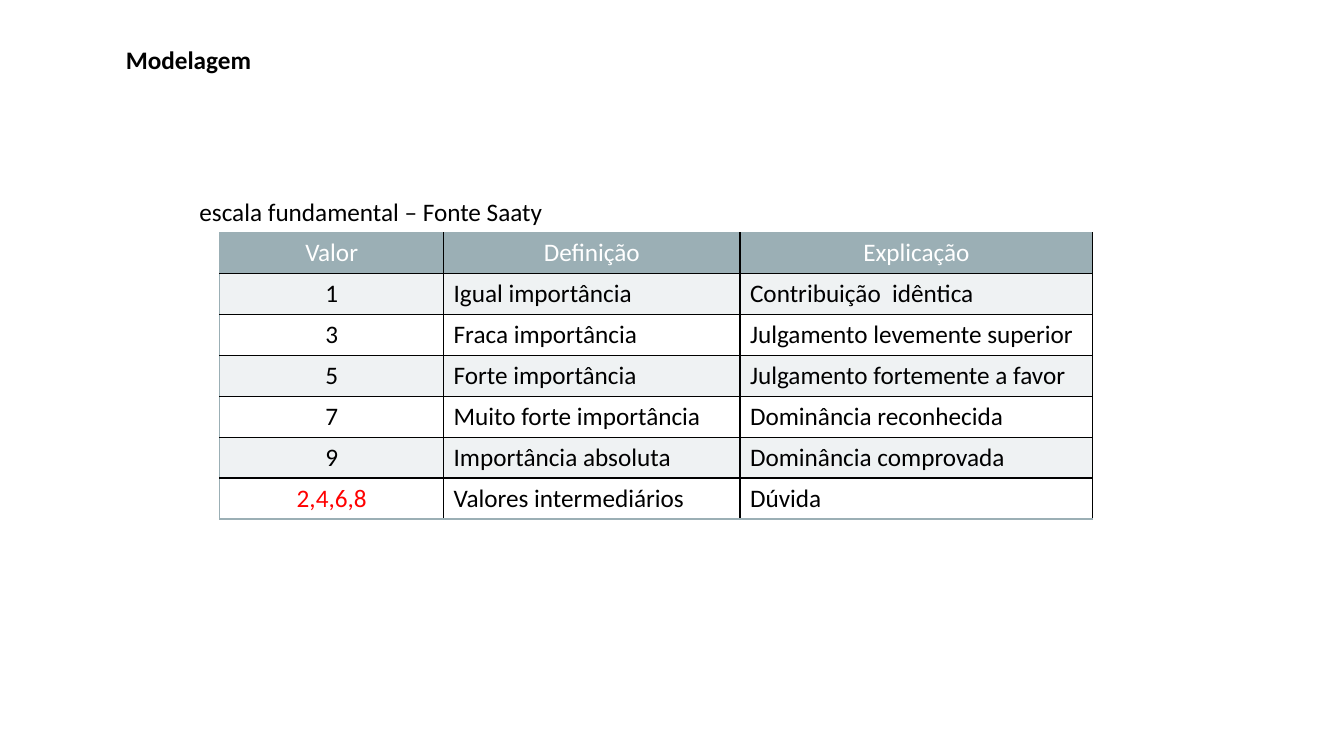
from lxml import etree
from pptx import Presentation
from pptx.dml.color import RGBColor
from pptx.enum import text
from pptx.oxml import ns
from pptx.util import Inches, Pt

COLORS = {"black": "000000", "white": "FFFFFF", "slate": "9BAFB5",
          "band": "EFF2F3", "red": "FF0000"}
SCALE = [
    ("Valor", "Definição", "Explicação"),
    ("1", "Igual importância", "Contribuição  idêntica"),
    ("3", "Fraca importância", "Julgamento levemente superior"),
    ("5", "Forte importância", "Julgamento fortemente a favor"),
    ("7", "Muito forte importância", "Dominância reconhecida"),
    ("9", "Importância absoluta", "Dominância comprovada"),
    ("2,4,6,8", "Valores intermediários", "Dúvida"),
]
COLUMN_WIDTHS = (2.22, 2.94, 3.5)


def write(frame, words, color="black", bold=False, centered=False):
    para = frame.paragraphs[0]
    para.text = words
    para.alignment = text.PP_ALIGN.CENTER if centered else text.PP_ALIGN.LEFT
    para.font.name = "Calibri"
    para.font.size = Pt(18)
    para.font.bold = bold
    para.font.color.rgb = RGBColor.from_string(COLORS[color])


def add_label(slide, left, top, width, words, bold=False):
    box = slide.shapes.add_textbox(Inches(left), Inches(top), Inches(width), Inches(0.4))
    box.text_frame.word_wrap = True
    write(box.text_frame, words, bold=bold)


def set_borders(cell, **sides):
    """Draw 1 pt borders; sides maps L, R, T and B, in that order, to colour names."""
    properties = cell._tc.get_or_add_tcPr()
    for index, (side, color) in enumerate(sides.items()):
        line = etree.Element(ns.qn(f"a:ln{side}"), w=str(Pt(1)))
        fill = etree.SubElement(line, ns.qn("a:solidFill"))
        etree.SubElement(fill, ns.qn("a:srgbClr"), val=COLORS[color])
        properties.insert(index, line)


def add_scale_table(slide):
    last = len(SCALE) - 1
    frame = slide.shapes.add_table(len(SCALE), len(COLUMN_WIDTHS), Inches(2.18),
                                   Inches(2.31), Inches(sum(COLUMN_WIDTHS)), Inches(2.84))
    table = frame.table
    for column, width in zip(table.columns, COLUMN_WIDTHS):
        column.width = Inches(width)
    for row, entries in enumerate(SCALE):
        header = row == 0
        background = "slate" if header else "band" if row % 2 else "white"
        for col, words in enumerate(entries):
            cell = table.cell(row, col)
            cell.fill.solid()
            cell.fill.fore_color.rgb = RGBColor.from_string(COLORS[background])
            color = "white" if header else "red" if (row, col) == (last, 0) else "black"
            write(cell.text_frame, words, color, centered=header or col == 0)
            set_borders(cell,
                        L="slate" if col == 0 else "black",
                        R="black",
                        T="slate" if header else "black",
                        B="slate" if row == last else "black")


def main():
    deck = Presentation()
    deck.slide_width, deck.slide_height = Inches(13.33), Inches(7.5)
    slide = deck.slides.add_slide(deck.slide_layouts[6])
    add_label(slide, 1.15, 0.39, 10.5, "Modelagem", bold=True)
    add_label(slide, 1.88, 1.9, 9.77, "escala fundamental – Fonte Saaty")
    add_scale_table(slide)
    deck.save("out.pptx")


if __name__ == "__main__":
    main()
